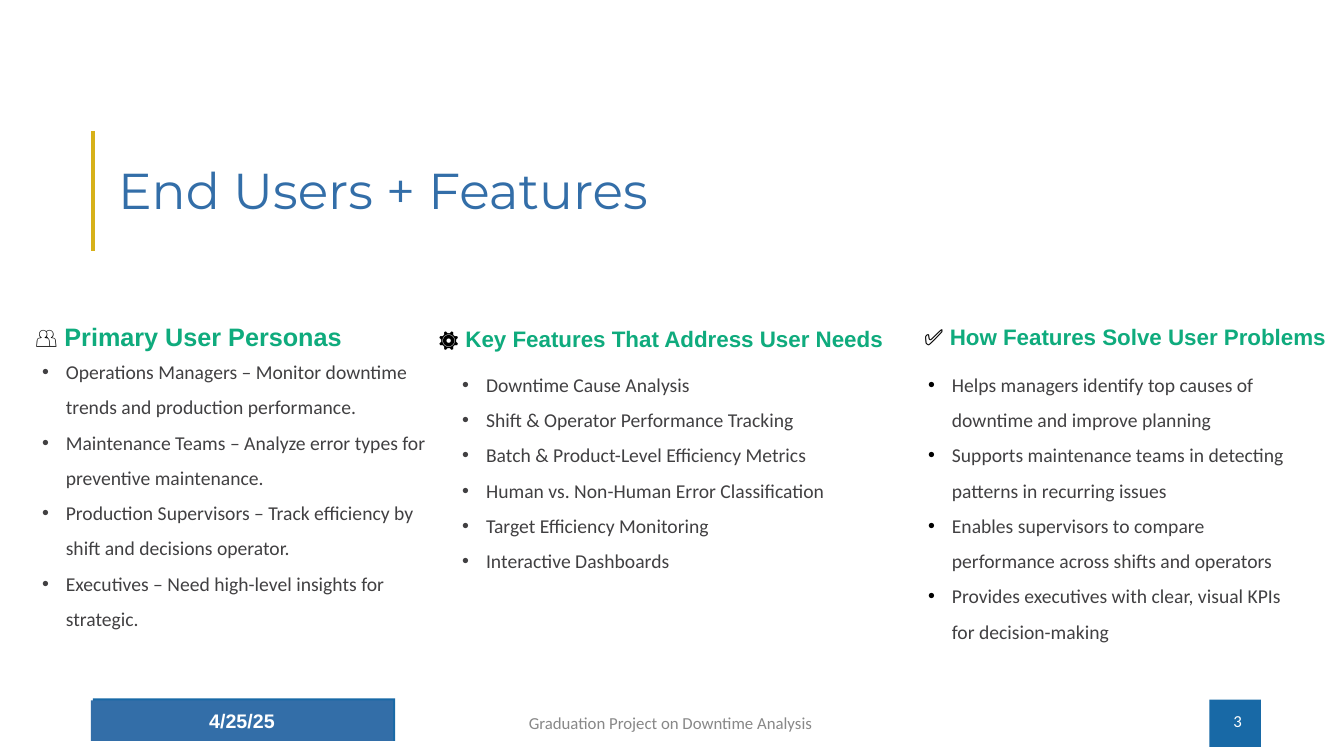
from lxml import etree
from pptx import Presentation
from pptx.dml.color import RGBColor
from pptx.enum.shapes import MSO_CONNECTOR, MSO_SHAPE
from pptx.enum.text import MSO_ANCHOR, MSO_AUTO_SIZE, PP_ALIGN
from pptx.oxml.ns import qn
from pptx.util import Cm, Pt

LEFT, CENTER, RIGHT = PP_ALIGN.LEFT, PP_ALIGN.CENTER, PP_ALIGN.RIGHT
TOP, MIDDLE, BOTTOM = MSO_ANCHOR.TOP, MSO_ANCHOR.MIDDLE, MSO_ANCHOR.BOTTOM
BLUE, DEEP_BLUE, GOLD, GREEN = "336EA8", "1869A6", "D7B119", "0FAB7D"
BLACK, WHITE, DARK_GRAY, GRAY = "000000", "FFFFFF", "414042", "888888"


def color(hex_value):
    return RGBColor.from_string(hex_value)


def style(para, name, size, hex_value, align=LEFT):
    para.alignment = align
    para.font.name = name
    para.font.size = Pt(size)
    para.font.color.rgb = color(hex_value)


deck = Presentation()
deck.slide_width, deck.slide_height = Cm(33.87), Cm(19.05)
page = deck.slides.add_slide(deck.slide_layouts[5])

title = page.shapes.title
title.left, title.top, title.width, title.height = Cm(2.72), Cm(3.61), Cm(20.12), Cm(2.08)
title.text_frame.text = "End Users + Features"
title.text_frame.auto_size = MSO_AUTO_SIZE.NONE
title.text_frame.vertical_anchor = BOTTOM
title.text_frame.paragraphs[0].line_spacing = 0.9
style(title.text_frame.paragraphs[0], "Montserrat", 36, BLUE)

accent = page.shapes.add_connector(MSO_CONNECTOR.STRAIGHT, Cm(2.34), Cm(3.3), Cm(2.34), Cm(6.32))
accent.line.color.rgb = color(GOLD)
accent.line.width = Pt(2.5)
etree.SubElement(accent._element.spPr, qn("a:effectLst"))

blocks = [
    (2.34, 17.6, 7.62, 1.07, DEEP_BLUE),
    (30.48, 17.63, 1.3, 1.19, DEEP_BLUE),
    (2.29, 17.65, 7.62, 1.02, BLUE),
]
for left, top, width, height, fill in blocks:
    block = page.shapes.add_shape(MSO_SHAPE.RECTANGLE, Cm(left), Cm(top), Cm(width), Cm(height))
    block.shadow.inherit = False
    block.fill.solid()
    block.fill.fore_color.rgb = color(fill)
    block.line.fill.background()

date_frame = block.text_frame
date_frame.text = "4/25/25"
date_frame.vertical_anchor = MIDDLE
style(date_frame.paragraphs[0], "Arial", 14, WHITE, CENTER)
date_frame.paragraphs[0].font.bold = True

footers = [
    ("Graduation Project on Downtime Analysis", 10.97, 17.71, 11.86, GRAY, CENTER),
    ("3", 23.93, 17.65, 7.62, WHITE, RIGHT),
]
for text, left, top, width, hex_value, align in footers:
    footer = page.shapes.add_textbox(Cm(left), Cm(top), Cm(width), Cm(1.02))
    footer.text_frame.word_wrap = True
    footer.text_frame.vertical_anchor = MIDDLE
    footer.text_frame.text = text
    style(footer.text_frame.paragraphs[0], "Calibri", 12, hex_value, align)

columns = [
    ("👥 ", "Primary User Personas", 18, (0.64, 7.98, 8.81, 1.02),
     (0.81, 8.66, 10.77, 7.34), MIDDLE, DARK_GRAY, [
         "Operations Managers – Monitor downtime trends and production performance.",
         "Maintenance Teams – Analyze error types for preventive maintenance.",
         "Production Supervisors – Track efficiency by shift and decisions operator.",
         "Executives – Need high-level insights for strategic.",
     ]),
    ("⚙️ ", "Key Features That Address User Needs", 16, (10.8, 8.08, 12.24, 0.94),
     (11.4, 8.97, 10.49, 5.54), TOP, DARK_GRAY, [
         "Downtime Cause Analysis",
         "Shift & Operator Performance Tracking",
         "Batch & Product-Level Efficiency Metrics",
         "Human vs. Non-Human Error Classification",
         "Target Efficiency Monitoring",
         "Interactive Dashboards",
     ]),
    ("✅ ", "How Features Solve User Problems", 16, (23.04, 8.03, 11.13, 0.94),
     (23.14, 8.97, 10.08, 7.34), TOP, BLACK, [
         "Helps managers identify top causes of downtime and improve planning",
         "Supports maintenance teams in detecting patterns in recurring issues",
         "Enables supervisors to compare performance across shifts and operators",
         "Provides executives with clear, visual KPIs for decision-making",
     ]),
]
for icon, heading, size, heading_area, list_area, anchor, bullet_color, items in columns:
    heading_box = page.shapes.add_textbox(*map(Cm, heading_area))
    heading_box.text_frame.word_wrap = True
    para = heading_box.text_frame.paragraphs[0]
    style(para, "Arial", size, BLACK)
    para.add_run().text = icon
    span = para.add_run()
    span.text = heading
    span.font.bold = True
    span.font.color.rgb = color(GREEN)

    list_box = page.shapes.add_textbox(*map(Cm, list_area))
    list_box.text_frame.word_wrap = True
    list_box.text_frame.vertical_anchor = anchor
    list_box.text_frame.text = "\n".join(items)
    for para in list_box.text_frame.paragraphs:
        style(para, "Calibri", 14, DARK_GRAY)
        para.line_spacing = 1.5
        properties = para._p.get_or_add_pPr()
        properties.set("marL", str(Cm(0.6)))
        properties.set("indent", str(-Cm(0.6)))
        bullet_fill = etree.Element(qn("a:buClr"))
        etree.SubElement(bullet_fill, qn("a:srgbClr"), val=bullet_color)
        bullet_font = etree.Element(qn("a:buFont"), typeface="Arial")
        bullet = etree.Element(qn("a:buChar"), char="•")
        spacing = properties.find(qn("a:lnSpc"))
        for part in (bullet, bullet_font, bullet_fill):
            spacing.addnext(part)

deck.save("out.pptx")
